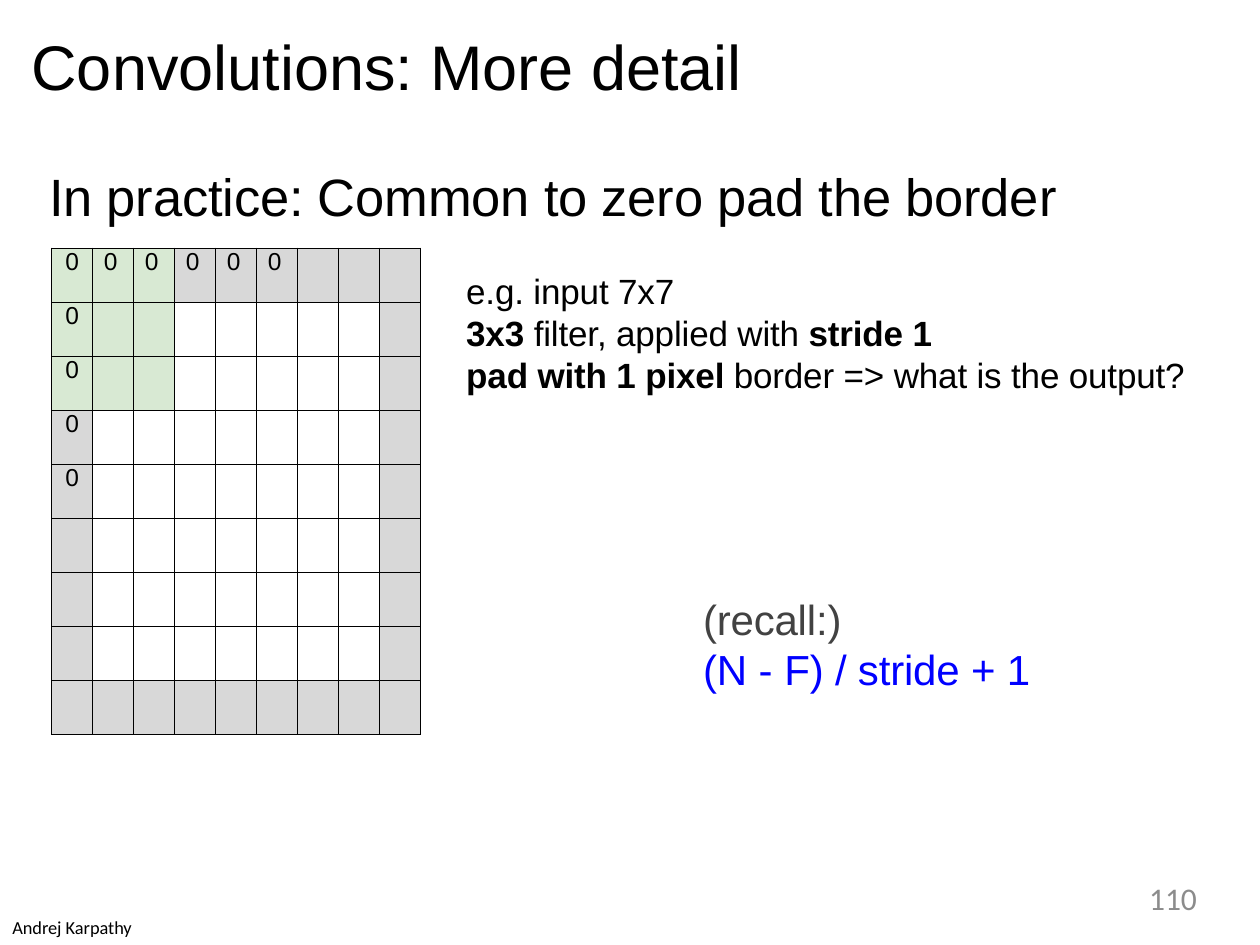
import pptx
import pptx.dml.color
import pptx.enum.text
import pptx.oxml
import pptx.oxml.ns
import pptx.util

Inches = pptx.util.Inches
Pt = pptx.util.Pt
ALIGN = pptx.enum.text.PP_ALIGN
GRID_SIZE = 9
FILTER_SIZE = 3
ZEROS_ACROSS = 6
ZEROS_DOWN = 5


def color(value):
    return pptx.dml.color.RGBColor.from_string(value)


def write(paragraph, text, size=20, font="Arial", ink="000000", bold=False, tracking=0):
    run = paragraph.add_run()
    run.text = text
    run.font.size = Pt(size)
    run.font.name = font
    run.font.bold = bold
    run.font.color.rgb = color(ink)
    if tracking:
        run._r.get_or_add_rPr().set("spc", str(round(tracking * 100)))


def set_insets(target, left, top, right, bottom):
    target.margin_left, target.margin_top = Inches(left), Inches(top)
    target.margin_right, target.margin_bottom = Inches(right), Inches(bottom)


class SlideBuilder:
    padding_fill = "D8D8D8"
    filter_fill = "D8E9D3"
    border_ink = "000000"
    border_width = 0.75

    def __init__(self, presentation):
        self.slide = presentation.slides.add_slide(presentation.slide_layouts[6])

    def text(self, box, lines, insets=(0, 0, 0, 0), wrap=True, align=ALIGN.LEFT,
             line_spacing=None, **style):
        shape = self.slide.shapes.add_textbox(*map(Inches, box))
        frame = shape.text_frame
        frame.word_wrap = wrap
        frame.auto_size = pptx.enum.text.MSO_AUTO_SIZE.SHAPE_TO_FIT_TEXT
        set_insets(frame, *insets)
        for index, runs in enumerate(lines):
            paragraph = frame.add_paragraph() if index else frame.paragraphs[0]
            paragraph.alignment = align
            if line_spacing:
                paragraph.line_spacing = Pt(line_spacing)
            for text, changes in runs:
                write(paragraph, text, **{**style, **changes})

    def border(self, cell):
        properties = cell._tc.get_or_add_tcPr()
        for side in ("lnL", "lnR", "lnT", "lnB"):
            properties.append(pptx.oxml.parse_xml(
                f'<a:{side} {pptx.oxml.ns.nsdecls("a")} w="{Pt(self.border_width)}">'
                f'<a:solidFill><a:srgbClr val="{self.border_ink}"/></a:solidFill></a:{side}>'))

    def padded_grid(self, box):
        shape = self.slide.shapes.add_table(GRID_SIZE, GRID_SIZE, *map(Inches, box))
        table = shape.table
        table.first_row = False
        table.horz_banding = False
        last = GRID_SIZE - 1
        for row in range(GRID_SIZE):
            for column in range(GRID_SIZE):
                cell = table.cell(row, column)
                set_insets(cell, 0, 0, 0, 0)
                self.border(cell)
                if row < FILTER_SIZE and column < FILTER_SIZE:
                    cell.fill.solid()
                    cell.fill.fore_color.rgb = color(self.filter_fill)
                elif row in (0, last) or column in (0, last):
                    cell.fill.solid()
                    cell.fill.fore_color.rgb = color(self.padding_fill)
                else:
                    cell.fill.background()
                if (row == 0 and column < ZEROS_ACROSS) or (column == 0 and row < ZEROS_DOWN):
                    paragraph = cell.text_frame.paragraphs[0]
                    if column == 0:
                        paragraph.alignment = ALIGN.CENTER
                    else:
                        cell.margin_left = Inches(0.09)
                    write(paragraph, "0", size=14)


def main():
    presentation = pptx.Presentation()
    presentation.slide_width = Inches(10)
    presentation.slide_height = Inches(7.5)
    builder = SlideBuilder(presentation)
    bold = {"bold": True}
    blue = {"ink": "0000FF"}
    indent = (0.01, 0, 0, 0)

    builder.text((0.25, 1.16, 9.51, 0.65),
                 [[("In practice: Common to zero pad the border", {})]],
                 insets=(0.14, 0.14, 0, 0), size=30, tracking=-0.1)
    builder.padded_grid((0.41, 1.97, 2.93, 3.86))
    builder.text((3.69, 2.14, 5.78, 1.01), [
        [("e.g. input 7x7", {})],
        [("3x3 ", bold), ("filter, applied with ", {}), ("stride 1", bold)],
        [("pad with 1 pixel ", bold), ("border => what is the output?", {})],
    ], insets=indent, size=20, tracking=-0.1)
    builder.text((5.57, 4.71, 2.65, 0.81), [
        [("(recall:)", {"ink": "424242"})],
        [("(N ", blue), ("- ", {**blue, "tracking": 0}), ("F) / stride + 1", blue)],
    ], insets=indent, line_spacing=28.6, size=24, tracking=-0.1)
    builder.text((0.25, 0.22, 9.51, 0.61), [[("Convolutions: More detail", {})]], size=36)
    builder.text((0, 7.22, 1.17, 0.28), [[("Andrej Karpathy", {})]],
                 insets=(0.1, 0.05, 0.1, 0.05), wrap=False, size=10.5, font="Calibri")
    builder.text((7.2, 6.98, 2.3, 0.3), [[("110", {})]],
                 align=ALIGN.RIGHT, size=18, font="Calibri", ink="8C8C8C")
    presentation.save("out.pptx")


if __name__ == "__main__":
    main()
